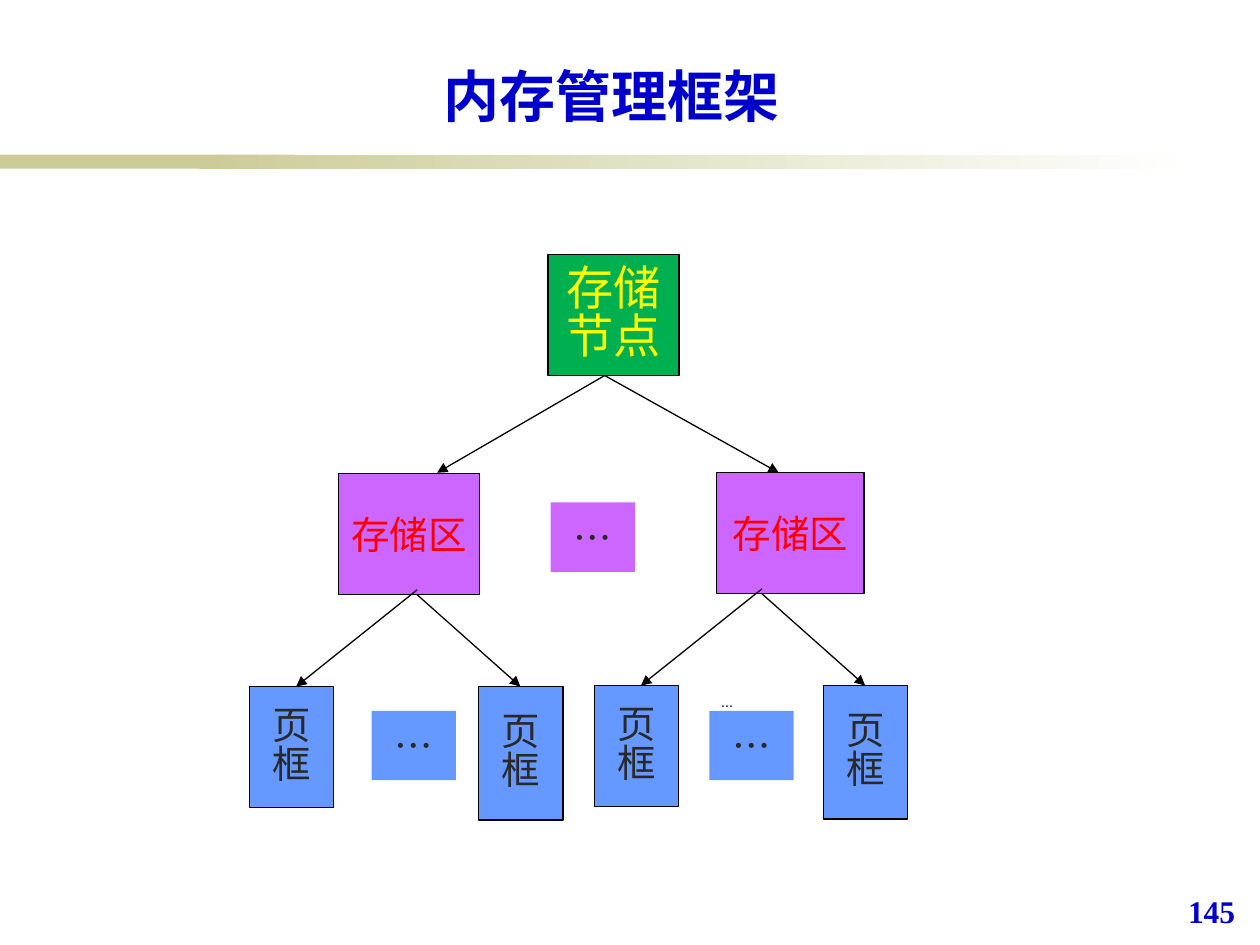
from lxml import etree
from pptx import Presentation
from pptx import util as u
from pptx.dml.color import RGBColor
from pptx.enum import shapes, text
from pptx.oxml.ns import qn

COLORS = {
    "olive": "CCCC99", "white": "FFFFFF", "black": "000000", "node": "00B050",
    "zone": "CC66FF", "frame": "6699FF", "yellow": "FFFF00", "red": "FF0000",
    "ink": "292929", "blue": "0000CC",
}
CJK = "Noto Sans CJK JP"
CENTER, JUSTIFY = text.PP_ALIGN.CENTER, text.PP_ALIGN.JUSTIFY
TITLE, PAGE = "内存管理框架", "145"

NODE = ("存储节点", (11.05, 5.13, 2.64, 2.44))
NODE_ARROWS = [(12.19, 7.57, 8.81, 9.53), (12.19, 7.57, 15.7, 9.53)]
ZONE_GAP = (11.1, 10.13)
GAP_SIZE = (1.7, 1.4)
FRAME_WIDTH = 1.7
FRAMES = [(5.03, 2.44), (9.65, 2.69)]
FRAME_TOP = 13.84
FRAME_ARROWS = [(8.41, 11.89, 5.97, 13.84), (8.41, 11.99, 10.49, 13.84)]
BRANCHES = [
    {"zone": (6.83, 9.55, 2.84, 2.44), "shift": (0, 0), "gap": (7.49, 14.33), "align": JUSTIFY},
    {"zone": (14.45, 9.53, 2.97, 2.44), "shift": (6.95, -0.02), "gap": (14.3, 14.33), "align": CENTER},
]
FAINT_GAP = (14.3, 13.82, 1.7, 2.44)


def color(name):
    return RGBColor.from_string(COLORS[name])


def style(paragraph, size, ink, font=CJK, bold=False, align=CENTER):
    paragraph.alignment = align
    for run in paragraph.runs:
        run.font.size = u.Pt(size)
        run.font.name = font
        run.font.bold = bold
        run.font.color.rgb = color(ink)
        etree.SubElement(run.font._element, qn("a:ea"), typeface=font)


def add_block(slide, place, fill, outlined=False):
    block = slide.shapes.add_shape(shapes.MSO_SHAPE.RECTANGLE, *map(u.Cm, place))
    block.shadow.inherit = False
    block.fill.solid()
    block.fill.fore_color.rgb = color(fill)
    if outlined:
        block.line.color.rgb = color("black")
        block.line.width = u.Pt(0.75)
    else:
        block.line.fill.background()
    return block


def add_label(slide, label, place, fill, size, ink, outlined=True, align=CENTER,
              margin=0.25, font=CJK, anchor=text.MSO_ANCHOR.MIDDLE):
    block = add_block(slide, place, fill, outlined)
    frame = block.text_frame
    frame.word_wrap = True
    frame.vertical_anchor = anchor
    frame.margin_left = frame.margin_right = u.Cm(margin)
    frame.text = label
    style(frame.paragraphs[0], size, ink, font, align=align)
    if fill in ("node", "frame") and outlined:
        frame.paragraphs[0].line_spacing = 0.85


def add_gap(slide, corner, fill, align=CENTER):
    add_label(slide, "…", corner + GAP_SIZE, fill, 22, "ink", False, align, 0.46)


def add_arrow(slide, ends):
    arrow = slide.shapes.add_connector(shapes.MSO_CONNECTOR.STRAIGHT, *map(u.Cm, ends))
    arrow.line.color.rgb = color("black")
    arrow.line.width = u.Pt(0.75)
    etree.SubElement(arrow.line._get_or_add_ln(), qn("a:tailEnd"), type="triangle")
    etree.SubElement(arrow._element.spPr, qn("a:effectLst"))


def add_rule(slide):
    add_block(slide, (0, 3.12, 5.92, 0.28), "olive")
    fade = add_block(slide, (4.01, 3.12, 20.12, 0.28), "olive")
    fade.fill.gradient()
    fade.fill.gradient_angle = 0
    for stop, name in zip(fade.fill.gradient_stops, ("olive", "white")):
        stop.color.rgb = color(name)


def add_branch(slide, branch):
    dx, dy = branch["shift"]
    add_label(slide, "存储区", branch["zone"], "zone", 22, "red", margin=0.2)
    for left, height in FRAMES:
        place = (left + dx, FRAME_TOP + dy, FRAME_WIDTH, height)
        add_label(slide, "页框", place, "frame", 22, "ink")
    add_gap(slide, branch["gap"], "frame", branch["align"])
    for x1, y1, x2, y2 in FRAME_ARROWS:
        add_arrow(slide, (x1 + dx, y1 + dy, x2 + dx, y2 + dy))


def add_heading(slide):
    title = slide.shapes.title
    title.left, title.top, title.width, title.height = map(u.Cm, (2.11, 1.12, 20.45, 1.6))
    title.text_frame.text = TITLE
    title.text_frame.vertical_anchor = text.MSO_ANCHOR.BOTTOM
    style(title.text_frame.paragraphs[0], 32, "blue", bold=True)


def add_page(slide):
    page = slide.shapes.add_textbox(*map(u.Cm, (23.7, 17.86, 1.63, 1.27)))
    page.text_frame.word_wrap = True
    page.text_frame.text = PAGE
    style(page.text_frame.paragraphs[0], 18, "blue", "Times New Roman", True, text.PP_ALIGN.LEFT)


def main():
    """Build the memory management hierarchy slide."""
    deck = Presentation()
    deck.slide_width, deck.slide_height = u.Cm(25.4), u.Cm(19.05)
    slide = deck.slides.add_slide(deck.slide_layouts[5])
    add_rule(slide)
    add_label(slide, *NODE, "node", 27, "yellow")
    add_label(slide, "…", FAINT_GAP, "white", 9, "ink", False, JUSTIFY,
              font="Calibri", anchor=text.MSO_ANCHOR.TOP)
    for branch in BRANCHES:
        add_branch(slide, branch)
    add_gap(slide, ZONE_GAP, "zone")
    for ends in NODE_ARROWS:
        add_arrow(slide, ends)
    add_heading(slide)
    add_page(slide)
    deck.save("out.pptx")


if __name__ == "__main__":
    main()
